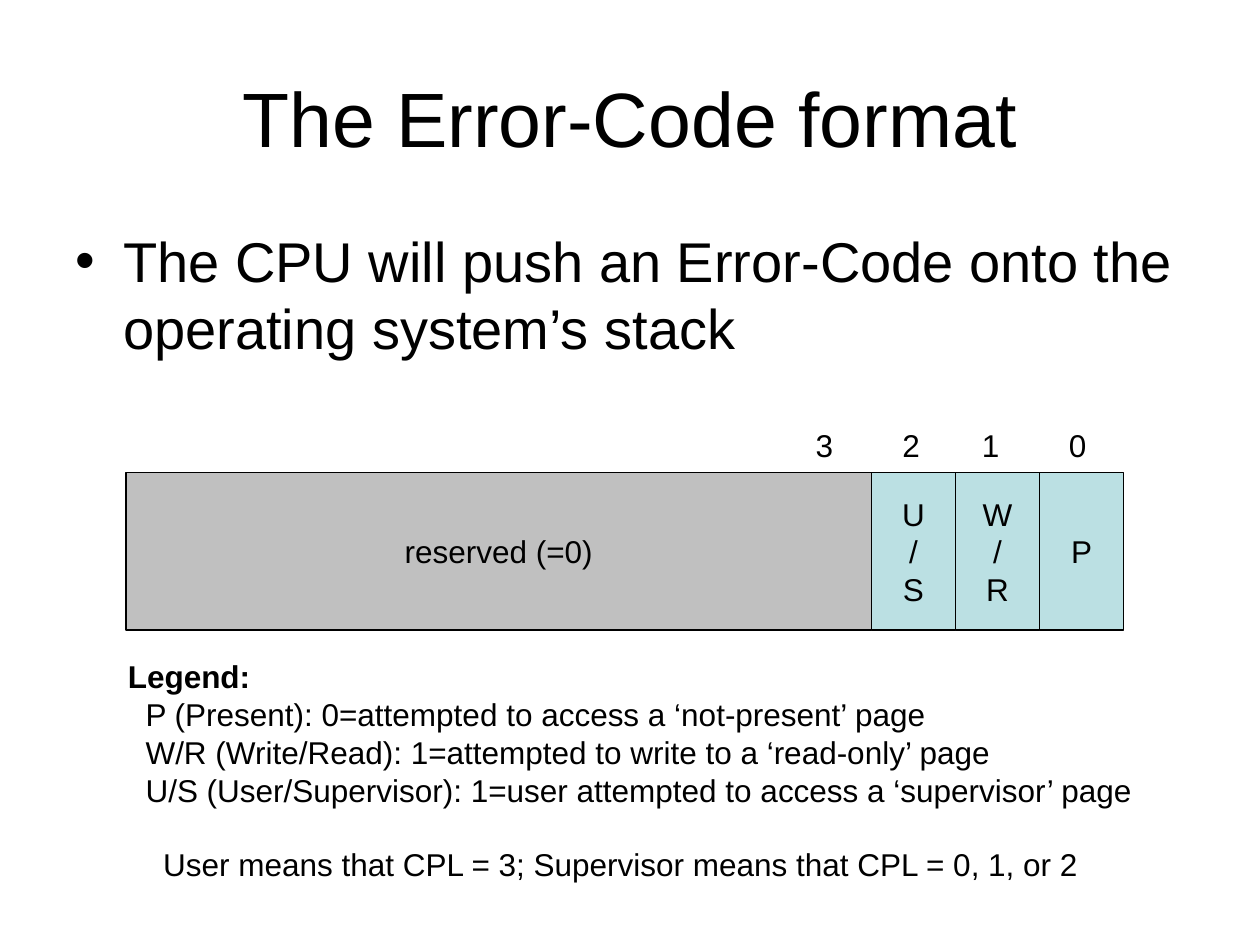
from dataclasses import dataclass

import lxml.etree
import pptx
import pptx.dml.color
import pptx.enum.shapes
import pptx.enum.text
import pptx.oxml.ns
import pptx.util

RGB = pptx.dml.color.RGBColor
ALIGN = pptx.enum.text.PP_ALIGN
ANCHOR = pptx.enum.text.MSO_ANCHOR
BLACK = RGB(0x00, 0x00, 0x00)
GREY = RGB(0xC0, 0xC0, 0xC0)
TEAL = RGB(0xBB, 0xE0, 0xE3)

COLS, ROWS = 120, 90  # grid laid over the slide
FIELD_TOP, FIELD_ROWS = 45, 15
FIELD_LEFT = 12
DIGIT_TABS = (1.11, 1.8, 2.43, 3.12)  # inches from the text edge

prs = pptx.Presentation()
prs.slide_width, prs.slide_height = pptx.util.Inches(10), pptx.util.Inches(7.5)
s = prs.slides.add_slide(prs.slide_layouts[6])


@dataclass
class Line:
    text: str
    size: int = 18
    bold: bool = False
    align: ALIGN = ALIGN.LEFT
    indent: float = 0
    before: int = 0
    bullet: bool = False
    tabs: tuple = ()


@dataclass
class Field:
    lines: tuple
    cols: int
    fill: RGB


def grid(col: float, row: float, cols: float, rows: float) -> tuple:
    """Turn grid columns and rows into slide lengths."""
    w, h = prs.slide_width / COLS, prs.slide_height / ROWS
    return int(col * w), int(row * h), int(cols * w), int(rows * h)


def child(parent, tag: str, **attrs):
    return lxml.etree.SubElement(parent, pptx.oxml.ns.qn(tag), attrs)


def write(sp, lines: list, **frame) -> None:
    """Fill a shape with lines; frame holds text frame settings."""
    tf = sp.text_frame
    for name, value in {"word_wrap": True, **frame}.items():
        setattr(tf, name, value)
    for i, line in enumerate(lines):
        p = tf.add_paragraph() if i else tf.paragraphs[0]
        pPr = p._p.get_or_add_pPr()
        if line.indent:
            pPr.set("marL", str(pptx.util.Inches(line.indent)))
        if line.bullet:
            pPr.set("indent", str(-pptx.util.Inches(line.indent)))
            child(pPr, "a:buFont", typeface="Arial")
            child(pPr, "a:buChar", char="•")
        if line.tabs:
            tab_list = child(pPr, "a:tabLst")
            for pos in line.tabs:
                child(tab_list, "a:tab", pos=str(pptx.util.Inches(pos)), algn="ctr")
        p.alignment = line.align
        if line.before:
            p.space_before = pptx.util.Pt(line.before)
        r = p.add_run()
        r.text = line.text
        font = {"name": "Arial", "size": pptx.util.Pt(line.size), "bold": line.bold}
        for name, value in font.items():
            setattr(r.font, name, value)
        r.font.color.rgb = BLACK


def add_text(box: tuple, lines: list, **frame) -> None:
    write(s.shapes.add_textbox(*grid(*box)), lines, **frame)


def add_field(field: Field, col: int) -> None:
    """Draw one bit field of the error code."""
    sp = s.shapes.add_shape(pptx.enum.shapes.MSO_SHAPE.RECTANGLE,
                            *grid(col, FIELD_TOP, field.cols, FIELD_ROWS))
    sp.shadow.inherit = False
    sp.fill.solid()
    sp.fill.fore_color.rgb = field.fill
    sp.line.color.rgb = BLACK
    sp.line.width = pptx.util.Pt(0.75)
    write(sp, [Line(t, align=ALIGN.CENTER) for t in field.lines],
          word_wrap=False, vertical_anchor=ANCHOR.MIDDLE)


# Title and bullet
add_text((6, 3.6, 108, 15), [Line("The Error-Code format", 44, align=ALIGN.CENTER)],
         vertical_anchor=ANCHOR.MIDDLE)
add_text((6, 21, 108, 59.4),
         [Line("The CPU will push an Error-Code onto the operating system’s stack",
               32, indent=0.38, bullet=True)])

# Bit fields, left to right
col = FIELD_LEFT
for field in (Field(("reserved (=0)",), 71, GREY),
              Field(("U", "/", "S"), 8, TEAL),
              Field(("W", "/", "R"), 8, TEAL),
              Field(("P",), 8, TEAL)):
    add_field(field, col)
    col += field.cols

# Bit numbers above the fields
add_text((64, 40, 45, 4.8), [Line("\t3\t2\t1\t0", tabs=DIGIT_TABS)])

# Legend
add_text((11, 62, 98, 22.8), [
    Line("Legend:", bold=True),
    Line("P (Present): 0=attempted to access a ‘not-present’ page", indent=0.14),
    Line("W/R (Write/Read): 1=attempted to write to a ‘read-only’ page", indent=0.14),
    Line("U/S (User/Supervisor): 1=user attempted to access a ‘supervisor’ page",
         indent=0.14),
    Line("User means that CPL = 3; Supervisor means that CPL = 0, 1, or 2",
         indent=0.28, before=21),
], margin_right=0)

prs.save("out.pptx")
